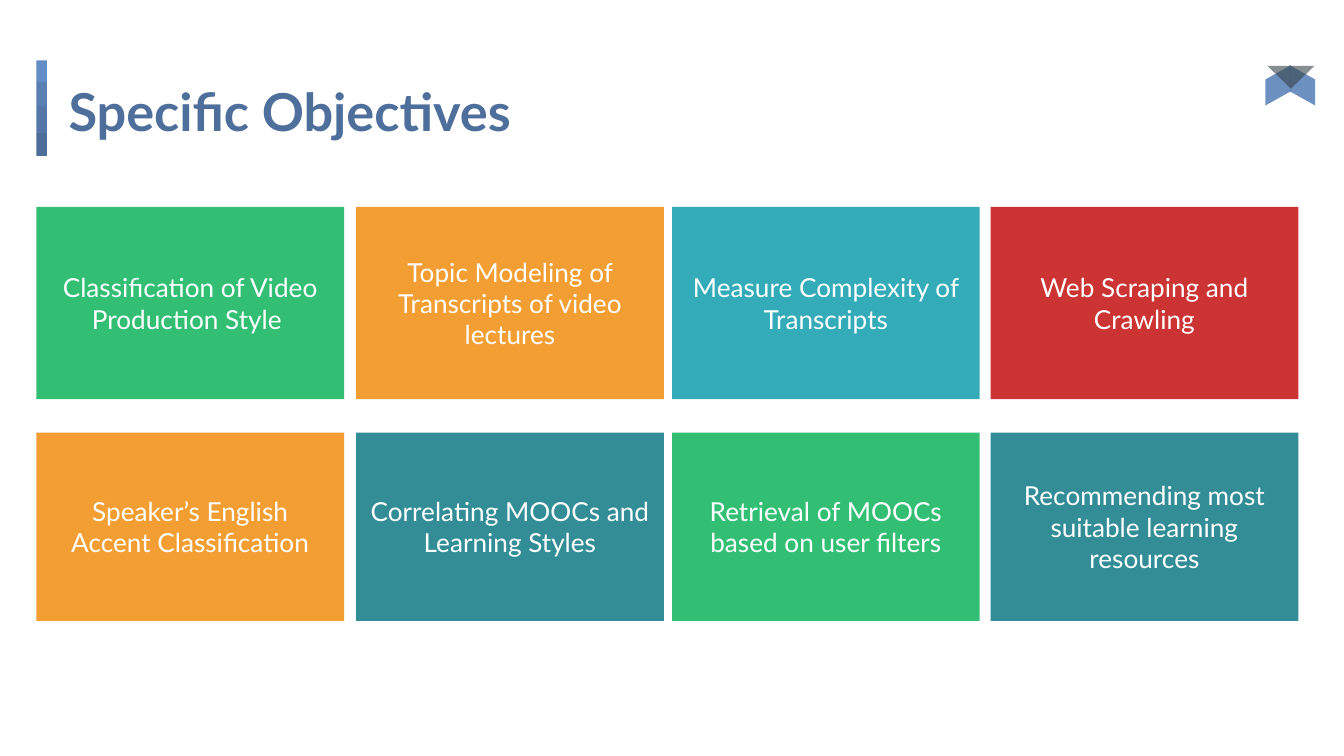
from dataclasses import dataclass

from lxml import etree
from pptx import Presentation
from pptx.dml.color import RGBColor
from pptx.enum import shapes, text
from pptx.oxml import ns
from pptx.util import Inches, Pt


@dataclass(frozen=True)
class Theme:
    font: str = "Lato"
    head: int = 28
    body: int = 14
    title: str = "4E6F9B"
    white: str = "FFFFFF"
    green: str = "00B050"
    orange: str = "EF8600"
    cyan: str = "0097A7"
    red: str = "C00000"
    teal: str = "00717D"
    wing: str = "5E85B9"
    fold: str = "38444A"
    bars: tuple = ("648DC6", "5A7FB3", "5477A7", "4E6E9A")


THEME = Theme()
KIND = shapes.MSO_SHAPE
COLS = (0.27, 2.65, 5, 7.37)
ROWS = ((1.54, 1.43), (3.22, 1.4))
GOALS = (
    (
        ("Classification of Video Production Style ", THEME.green),
        ("Topic Modeling of Transcripts of video lectures", THEME.orange),
        ("Measure Complexity of Transcripts", THEME.cyan),
        ("Web Scraping and Crawling", THEME.red),
    ),
    (
        ("Speaker’s English Accent Classification", THEME.orange),
        ("Correlating MOOCs and Learning Styles", THEME.teal),
        ("Retrieval of MOOCs based on user filters", THEME.green),
        ("Recommending most suitable learning resources", THEME.teal),
    ),
)


def place(shape, *box):
    shape.left, shape.top, shape.width, shape.height = map(Inches, box)


def write(shape, words, size, color, align, anchor, bold=False):
    frame = shape.text_frame
    frame.text = words
    frame.word_wrap = True
    frame.auto_size = text.MSO_AUTO_SIZE.NONE
    frame.vertical_anchor = anchor
    frame.margin_left = frame.margin_right = Inches(0.1)
    frame.margin_top = frame.margin_bottom = Inches(0.1)
    para = frame.paragraphs[0]
    para.alignment = align
    para.font.name = THEME.font
    para.font.size = Pt(size)
    para.font.bold = bold
    para.font.color.rgb = RGBColor.from_string(color)


def add_block(slide, kind, box, color, alpha=100):
    """Add a flat shape without outline; alpha is its opacity in percent."""
    shape = slide.shapes.add_shape(kind, *map(Inches, box))
    shape.shadow.inherit = False
    shape.line.fill.background()
    shape.fill.solid()
    shape.fill.fore_color.rgb = RGBColor.from_string(color)
    if alpha < 100:
        tint = shape._element.spPr.find(".//" + ns.qn("a:srgbClr"))
        etree.SubElement(tint, ns.qn("a:alpha"), val=str(alpha * 1000))
    return shape


def add_title(slide, words):
    title = slide.shapes.title
    place(title, 0.41, 0.49, 9.25, 0.63)
    write(title, words, THEME.head, THEME.title,
          text.PP_ALIGN.LEFT, text.MSO_ANCHOR.TOP, bold=True)


def add_stripe(slide):
    top = 0.45
    for height, color in zip((0.16, 0.18, 0.2, 0.17), THEME.bars):
        add_block(slide, KIND.RECTANGLE, (0.27, top, 0.08, height), color)
        top += height


def add_ribbon(slide):
    for left, flip in ((9.54, False), (9.36, True)):
        wing = add_block(slide, KIND.PARALLELOGRAM,
                         (left, 0.54, 0.3, 0.19), THEME.wing, 91)
        wing.adjustments[0] = 0.56
        wing.rotation = 90
        if flip:
            wing._element.spPr.xfrm.set("flipH", "1")
    fold = add_block(slide, KIND.ISOSCELES_TRIANGLE,
                     (9.43, 0.49, 0.35, 0.17), THEME.fold, 60)
    fold.rotation = 180


def add_cards(slide):
    for (top, height), goals in zip(ROWS, GOALS):
        for left, (words, color) in zip(COLS, goals):
            card = add_block(slide, KIND.RECTANGLE,
                             (left, top, 2.29, height), color, 80)
            write(card, words, THEME.body, THEME.white,
                  text.PP_ALIGN.CENTER, text.MSO_ANCHOR.MIDDLE)


def main():
    deck = Presentation()
    deck.slide_width = Inches(10)
    deck.slide_height = deck.slide_width * 9 // 16
    slide = deck.slides.add_slide(deck.slide_layouts[5])
    add_stripe(slide)
    add_title(slide, "Specific Objectives")
    add_ribbon(slide)
    add_cards(slide)
    deck.save("out.pptx")


if __name__ == "__main__":
    main()
